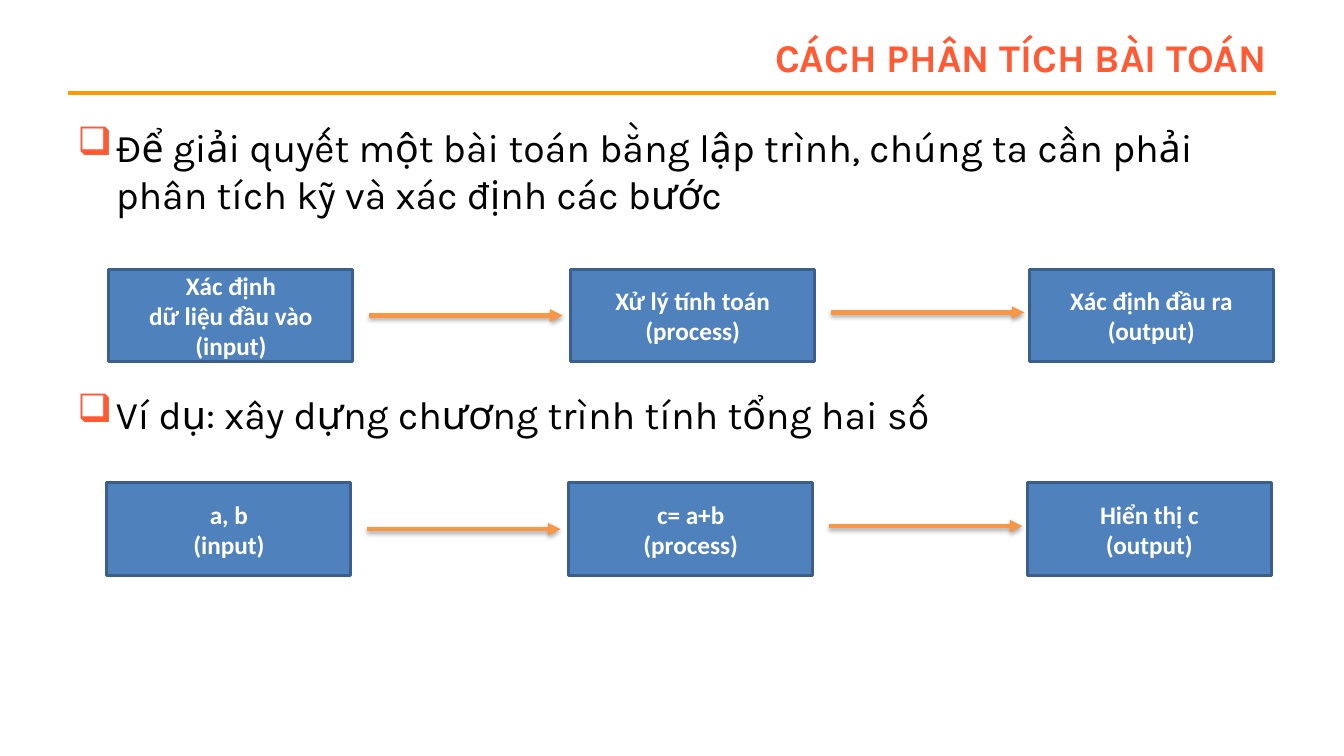
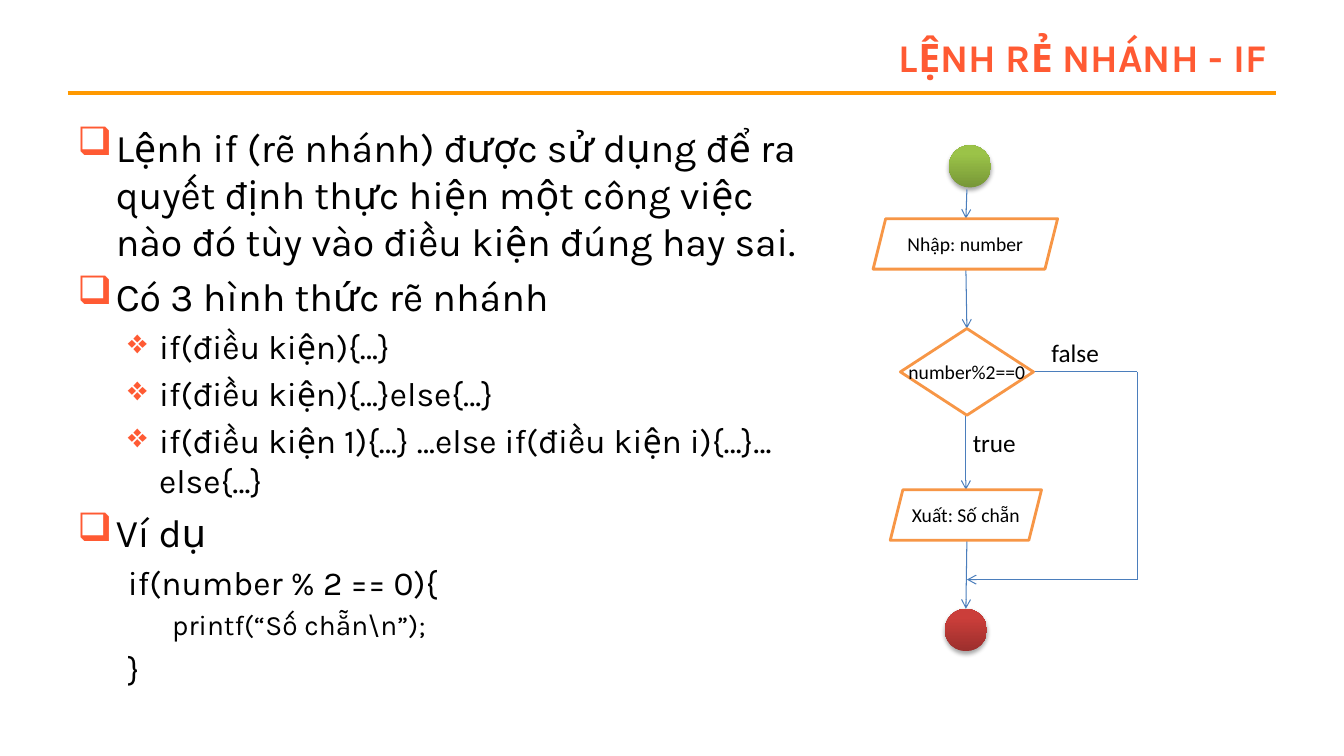
from lxml import etree
from pptx import Presentation
from pptx.dml.color import RGBColor
from pptx.enum.shapes import MSO_CONNECTOR, MSO_SHAPE as SHAPE
from pptx.enum.text import MSO_ANCHOR, MSO_AUTO_SIZE, PP_ALIGN
from pptx.oxml.ns import qn
from pptx.util import Inches, Pt

# Shared look
TITLE_FONT, DIAGRAM_FONT = "Karla", "Calibri"
CORAL, AMBER, ORANGE = "FF5A33", "FF9900", "F79646"
BLUE, BLUE_EDGE, FLOW_BLUE = "4F81BD", "3A5F8C", "4B7EBC"
BLACK, WHITE = "000000", "FFFFFF"
rgb = RGBColor.from_string

# Outline levels: bullet, left margin, hanging indent, text size, list level
OUTLINE = {
    "point": ("❑", 0.38, -0.38, 28, 0),
    "form": ("❖", 0.81, -0.31, 24, 1),
    "code": (None, 0.5, 0, 24, 1),
    "inner code": (None, 0.94, 0, 20, 2),
}
SHADOW = (
    '<a:outerShdw xmlns:a="http://schemas.openxmlformats.org/drawingml/2006/main"'
    ' blurRad="40000" dist="23000" dir="5400000" rotWithShape="0">'
    '<a:srgbClr val="000000"><a:alpha val="35000"/></a:srgbClr></a:outerShdw>'
)


def add_line(slide, start, end, color, width, head=None, shadow=False):
    line = slide.shapes.add_connector(
        MSO_CONNECTOR.STRAIGHT, *(Inches(v) for v in (*start, *end)))
    line.line.color.rgb = rgb(color)
    line.line.width = Pt(width)
    properties = line._element.spPr
    if head:
        etree.SubElement(properties.find(qn("a:ln")), qn("a:tailEnd"), type=head)
    effects = etree.SubElement(properties, qn("a:effectLst"))
    if shadow:
        effects.append(etree.fromstring(SHADOW))


def write(paragraph, text, font, size, color, bold=False):
    run = paragraph.add_run()
    run.text = text
    run.font.name = font
    run.font.size = Pt(size)
    run.font.bold = bold
    run.font.color.rgb = rgb(color)


prs = Presentation()
prs.slide_width, prs.slide_height = Inches(13.33), Inches(7.5)

# Each slide: title, then its outlines as (top, width, height, items)
contents = [
    ("CÁCH PHÂN TÍCH BÀI TOÁN", [
        (1.17, 12, 1.2, [
            ("point", "Để giải quyết một bài toán bằng lập trình, chúng ta cần phải "
                      "phân tích kỹ và xác định các bước")]),
        (3.82, 12, 0.7, [
            ("point", "Ví dụ: xây dựng chương trình tính tổng hai số")]),
    ]),
    ("LỆNH RẺ NHÁNH - IF", [
        (1.17, 7.33, 5.75, [
            ("point", "Lệnh if (rẽ nhánh) được sử dụng để ra quyết định thực hiện "
                      "một công việc nào đó tùy vào điều kiện đúng hay sai."),
            ("point", "Có 3 hình thức rẽ nhánh"),
            ("form", "if(điều kiện){…}"),
            ("form", "if(điều kiện){…}else{…}"),
            ("form", "if(điều kiện 1){…} …else if(điều kiện i){…}…else{…}"),
            ("point", "Ví dụ"),
            ("code", "if(number % 2 == 0){"),
            ("inner code", "printf(“Số chẵn\\n”);"),
            ("code", "}"),
        ]),
    ]),
]
slides = []
for heading, outlines in contents:
    slide = prs.slides.add_slide(prs.slide_layouts[5])
    slides.append(slide)
    add_line(slide, (0.67, 0.92), (12.66, 0.92), AMBER, 3)

    # Title
    title = slide.shapes.title
    title.left, title.top = Inches(3), Inches(0.3)
    title.width, title.height = Inches(9.66), Inches(0.53)
    title.text_frame.auto_size = MSO_AUTO_SIZE.NONE
    title.text_frame.vertical_anchor = MSO_ANCHOR.MIDDLE
    title_line = title.text_frame.paragraphs[0]
    title_line.alignment = PP_ALIGN.RIGHT
    write(title_line, heading, TITLE_FONT, 28, CORAL, bold=True)

    # Outline text
    for top, width, height, items in outlines:
        outline = slide.shapes.add_textbox(
            Inches(0.67), Inches(top), Inches(width), Inches(height)).text_frame
        outline.word_wrap = True
        for i, (kind, text) in enumerate(items):
            bullet, margin, indent, size, level = OUTLINE[kind]
            item = outline.add_paragraph() if i else outline.paragraphs[0]
            item.level = level
            item.space_before = Pt(size * 0.2)
            layout = item._p.get_or_add_pPr()
            layout.set("marL", str(Inches(margin)))
            layout.set("indent", str(Inches(indent)))
            if bullet:
                bullet_color = etree.SubElement(layout, qn("a:buClr"))
                etree.SubElement(bullet_color, qn("a:srgbClr"), val=CORAL)
                etree.SubElement(layout, qn("a:buChar"), char=bullet)
            write(item, text, TITLE_FONT, size, BLACK)

analysis, branching = slides

# Input, process and output rows
STEP_OFFSETS = (0, 4.58, 9.13)
rows = [
    (1.08, 2.67, [("Xác định", "dữ liệu đầu vào (input)"),
                  ("Xử lý tính toán", "(process)"),
                  ("Xác định đầu ra", "(output)")]),
    (1.06, 4.79, [("a, b", "(input)"),
                  ("c= a+b", "(process)"),
                  ("Hiển thị c", "(output)")]),
]
for left, top, steps in rows:
    for offset, lines in zip(STEP_OFFSETS, steps):
        step = analysis.shapes.add_shape(
            SHAPE.RECTANGLE, Inches(left + offset), Inches(top),
            Inches(2.42), Inches(0.92))
        step.shadow.inherit = False
        step.fill.solid()
        step.fill.fore_color.rgb = rgb(BLUE)
        step.line.color.rgb = rgb(BLUE_EDGE)
        step.line.width = Pt(2)
        step.text_frame.vertical_anchor = MSO_ANCHOR.MIDDLE
        for i, text in enumerate(lines):
            label = (step.text_frame.add_paragraph() if i
                     else step.text_frame.paragraphs[0])
            label.alignment = PP_ALIGN.CENTER
            write(label, text, DIAGRAM_FONT, 18, WHITE, bold=True)
    for offset, drop in ((2.58, 0.46), (7.16, 0.43)):
        add_line(analysis, (left + offset, top + drop),
                 (left + offset + 1.92, top + drop), ORANGE, 3, "triangle", True)

# Flowchart start and end
for left, top, dark, light in ((9.41, 1.44, "779737", "9BC348"),
                               (9.37, 6.04, "9C2F2D", "CB3E3A")):
    terminal = branching.shapes.add_shape(
        SHAPE.OVAL, Inches(left), Inches(top), Inches(0.42), Inches(0.42))
    terminal.fill.gradient()
    terminal.fill.gradient_angle = 90
    for stop, color, position in zip(terminal.fill.gradient_stops,
                                     (dark, light), (0, 0.8)):
        stop.color.rgb = rgb(color)
        stop.position = position
    terminal.line.fill.background()
    terminal.shadow.inherit = False
    terminal._element.spPr.find(qn("a:effectLst")).append(etree.fromstring(SHADOW))

# Flowchart arrows
for start, end, head in [
    ((9.59, 1.88), (9.58, 2.17), "arrow"),
    ((9.58, 2.67), (9.59, 3.26), "arrow"),
    ((9.58, 4.13), (9.58, 4.86), "arrow"),
    ((10.25, 3.69), (11.28, 3.69), None),
    ((11.28, 3.69), (11.28, 5.75), None),
    ((11.28, 5.75), (9.59, 5.75), "arrow"),
    ((9.59, 5.36), (9.58, 6.04), "arrow"),
]:
    add_line(branching, start, end, FLOW_BLUE, 0.75, head)

# Flowchart nodes
for outline, left, top, width, height, text in [
    (SHAPE.PARALLELOGRAM, 8.66, 2.17, 1.83, 0.5, "Nhập: number"),
    (SHAPE.FLOWCHART_DECISION, 8.93, 3.26, 1.32, 0.86, "number%2==0"),
    (SHAPE.PARALLELOGRAM, 8.83, 4.86, 1.5, 0.5, "Xuất: Số chẵn"),
]:
    node = branching.shapes.add_shape(
        outline, Inches(left), Inches(top), Inches(width), Inches(height))
    node.shadow.inherit = False
    node.fill.solid()
    node.fill.fore_color.rgb = rgb(WHITE)
    node.line.color.rgb = rgb(ORANGE)
    node.line.width = Pt(2)
    node.text_frame.word_wrap = False
    node.text_frame.vertical_anchor = MSO_ANCHOR.MIDDLE
    node_label = node.text_frame.paragraphs[0]
    node_label.alignment = PP_ALIGN.CENTER
    write(node_label, text, DIAGRAM_FONT, 14, BLACK)

# Branch labels
for left, top, width, text in ((10.33, 3.3, 0.68, "false"),
                               (9.55, 4.19, 0.63, "true")):
    branch = branching.shapes.add_textbox(
        Inches(left), Inches(top), Inches(width), Inches(0.4))
    branch.text_frame.word_wrap = False
    write(branch.text_frame.paragraphs[0], text, DIAGRAM_FONT, 18, BLACK)

prs.save("out.pptx")
